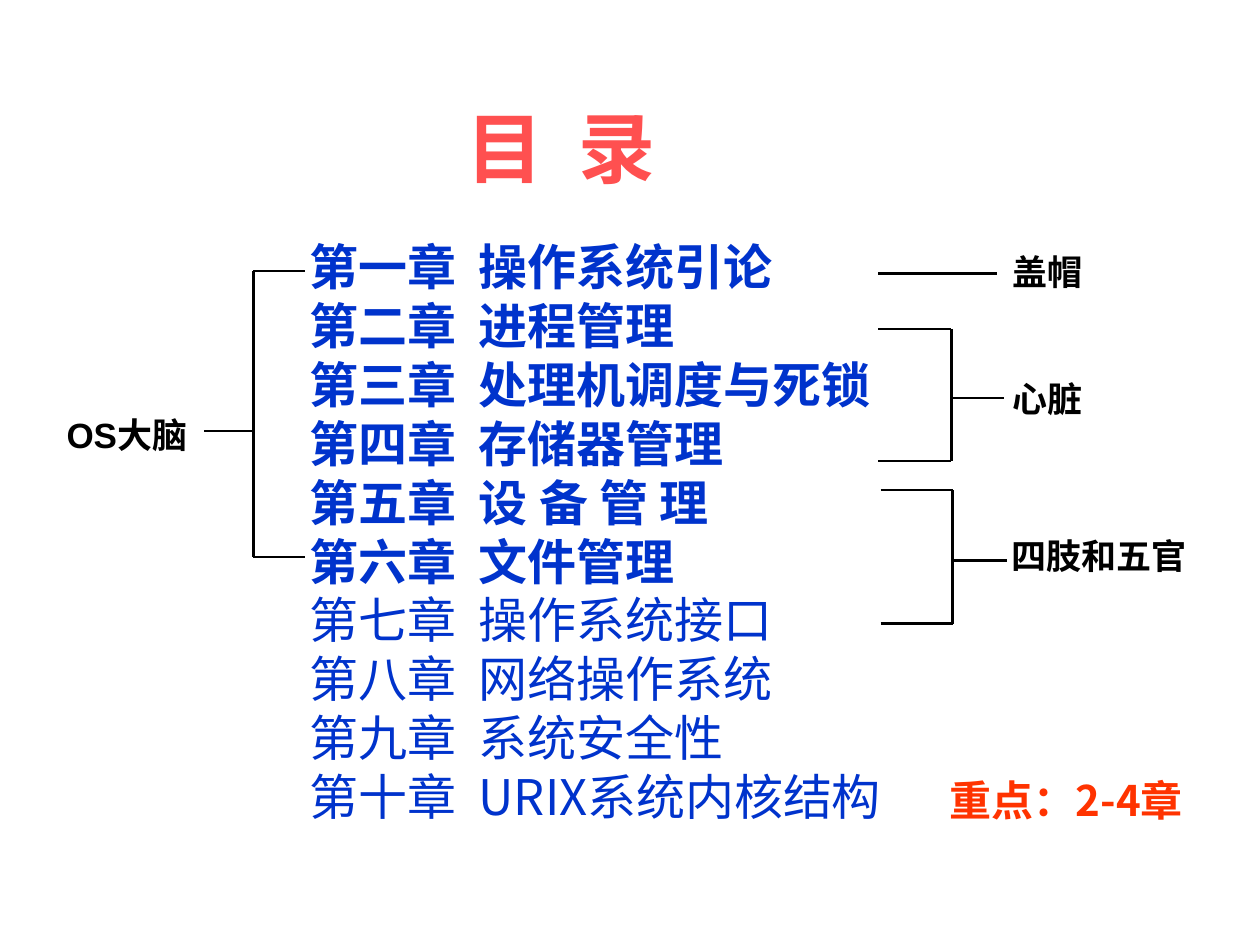
from lxml import etree
from pptx import Presentation
from pptx import util as u
from pptx.dml.color import RGBColor
from pptx.enum import shapes, text
from pptx.oxml import ns

CORAL = RGBColor(0xFF, 0x50, 0x50)
BLUE = RGBColor(0x00, 0x33, 0xCC)
RED = RGBColor(0xFF, 0x33, 0x00)
BLACK = RGBColor(0x00, 0x00, 0x00)

HEADING_FONT = "Noto Sans CJK JP"
NOTE_FONT = "Noto Sans CJK SC"
LABEL_FONT = "Arial"

CHAPTERS = [
    "第一章  操作系统引论",
    "第二章  进程管理",
    "第三章  处理机调度与死锁",
    "第四章  存储器管理",
    "第五章  设 备 管 理",
    "第六章  文件管理",
    "第七章  操作系统接口",
    "第八章  网络操作系统",
    "第九章  系统安全性",
    "第十章  URIX系统内核结构",
]
CORE_CHAPTERS = 6

LABELS = [
    ("OS大脑", 0.43, 3.23, 1.26),
    ("盖帽", 7.94, 1.94, 0.78),
    ("心脏", 7.94, 2.95, 0.78),
    ("四肢和五官", 7.93, 4.19, 1.61),
]

BRACKETS = [
    (2.42, 2.01, 1.62, 2.15, 3.42, 4.42),
    (6.97, 7.55, 7.97, 2.61, 3.16, 3.66),
    (6.99, 7.56, 7.99, 3.89, 4.45, 4.95),
]


class SlideBuilder:
    line_width = u.Pt(1.5)

    def __init__(self, page):
        self.page = page

    def fill_text(self, box, lines, font, size, color, bold_count):
        frame = box.text_frame
        frame.text = "\n".join(lines)
        frame.word_wrap = False
        frame.auto_size = text.MSO_AUTO_SIZE.SHAPE_TO_FIT_TEXT
        frame.vertical_anchor = text.MSO_ANCHOR.TOP
        for index, para in enumerate(frame.paragraphs):
            para.alignment = text.PP_ALIGN.LEFT
            para.space_before = u.Pt(0)
            for span in para.runs:
                span.font.name = font
                span.font.size = u.Pt(size)
                span.font.bold = index < bold_count
                span.font.color.rgb = color
                east_asian = etree.SubElement(span.font._element, ns.qn("a:ea"))
                east_asian.set("typeface", font)

    def place(self, box, left, top, width, height):
        box.left, box.top = u.Inches(left), u.Inches(top)
        box.width, box.height = u.Inches(width), u.Inches(height)

    def title(self, words, left, top, width, height):
        box = self.page.shapes.title
        self.place(box, left, top, width, height)
        self.fill_text(box, [words], HEADING_FONT, 44, CORAL, 1)

    def chapter_list(self, lines, left, top, width, height):
        box = self.page.placeholders[1]
        self.place(box, left, top, width, height)
        self.fill_text(box, lines, HEADING_FONT, 28, BLUE, CORE_CHAPTERS)
        for para in box.text_frame.paragraphs:
            properties = para._p.get_or_add_pPr()
            properties.set("marL", "0")
            properties.set("indent", "0")
            etree.SubElement(properties, ns.qn("a:buNone"))

    def label(self, words, left, top, width, height=0.44,
              font=LABEL_FONT, size=20, color=BLACK):
        box = self.page.shapes.add_textbox(
            u.Inches(left), u.Inches(top), u.Inches(width), u.Inches(height))
        self.fill_text(box, [words], font, size, color, 1)

    def line(self, x1, y1, x2, y2):
        connector = self.page.shapes.add_connector(
            shapes.MSO_CONNECTOR.STRAIGHT,
            u.Inches(x1), u.Inches(y1), u.Inches(x2), u.Inches(y2))
        connector.line.color.rgb = BLACK
        connector.line.width = self.line_width
        etree.SubElement(connector._element.spPr, ns.qn("a:effectLst"))

    def bracket(self, open_x, spine_x, stem_x, top, middle, bottom):
        self.line(open_x, top, spine_x, top)
        self.line(open_x, bottom, spine_x, bottom)
        self.line(spine_x, top, spine_x, bottom)
        self.line(spine_x, middle, stem_x, middle)


def main():
    deck = Presentation()
    deck.slide_width, deck.slide_height = u.Inches(10), u.Inches(7.5)
    builder = SlideBuilder(deck.slides.add_slide(deck.slide_layouts[1]))

    builder.title("目  录", 3.6, 0.75, 1.84, 0.84)
    builder.chapter_list(CHAPTERS, 2.36, 1.83, 5.08, 4.77)
    builder.label("重点：2-4章", 7.44, 6.1, 2.29, 0.5, NOTE_FONT, 24, RED)
    for label in LABELS:
        builder.label(*label)
    for bracket in BRACKETS:
        builder.bracket(*bracket)
    builder.line(6.97, 2.17, 7.91, 2.17)

    deck.save("out.pptx")


if __name__ == "__main__":
    main()
